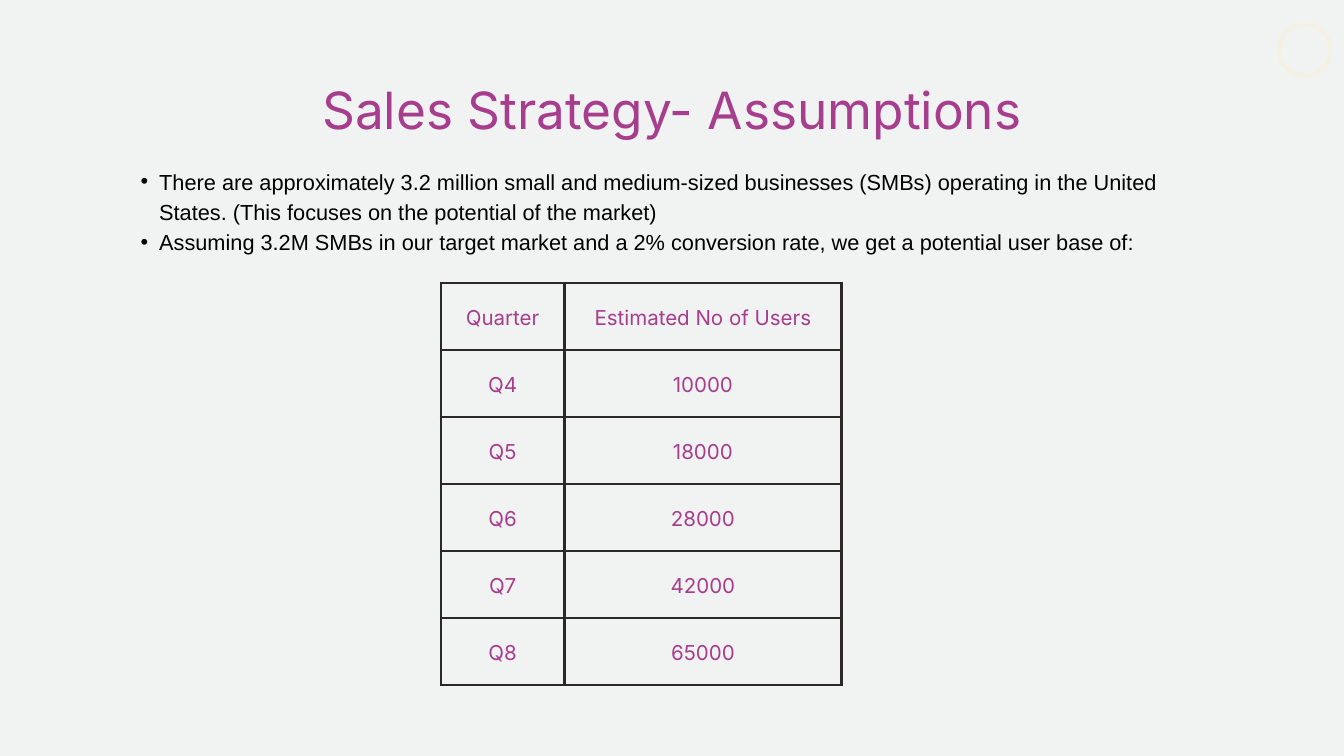
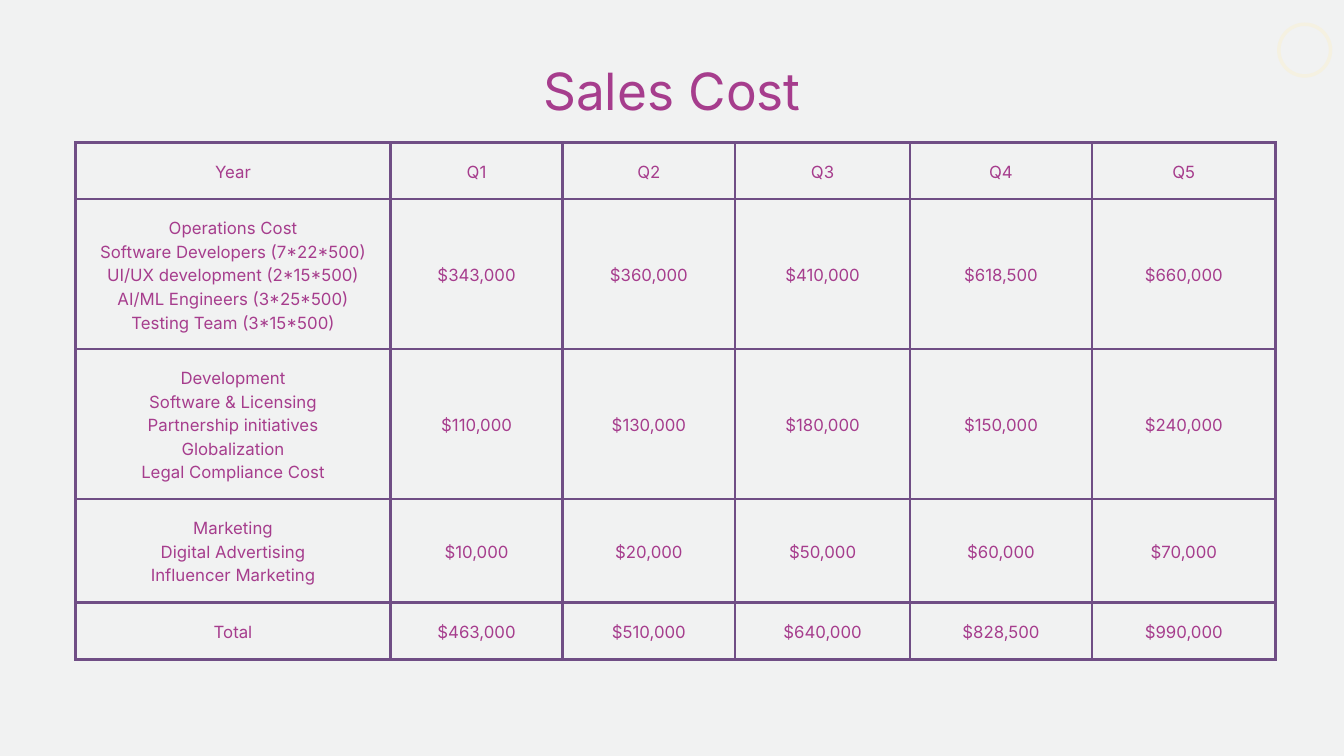
import lxml.etree
import pptx
import pptx.dml.color
import pptx.enum.shapes
import pptx.enum.text
import pptx.oxml.ns
import pptx.util

Pt = pptx.util.Pt


def rgb(value):
    return pptx.dml.color.RGBColor.from_string(value)


def add_element(parent, tag, **attributes):
    return lxml.etree.SubElement(parent, pptx.oxml.ns.qn(tag), attributes)


class Deck:
    """Holds the shared style and the current slide, and draws each kind of element."""

    BACKGROUND = "F1F2F2"
    RING = "F5F1E1"
    PURPLE = "A63D8D"
    BLACK = "000000"
    HEADING_FONT = "Inter"
    BODY_FONT = "Arial"
    LEADING = 1.4

    def __init__(self):
        self.presentation = pptx.Presentation()
        self.presentation.slide_width = Pt(1440)
        self.presentation.slide_height = Pt(810)
        self.slide = None

    def start_slide(self, title, title_top):
        self.slide = self.presentation.slides.add_slide(self.presentation.slide_layouts[6])
        fill = self.slide.background.fill
        fill.solid()
        fill.fore_color.rgb = rgb(self.BACKGROUND)
        self.add_ring()
        self.add_title(title, title_top)

    def add_ring(self):
        oval = pptx.enum.shapes.MSO_SHAPE.OVAL
        ring = self.slide.shapes.add_shape(oval, Pt(1370.2), Pt(26), Pt(55.4), Pt(55.4))
        ring.shadow.inherit = False
        ring.fill.background()
        ring.line.color.rgb = rgb(self.RING)
        ring.line.width = Pt(3.75)

    def add_text_box(self, text, left, top, width, height):
        box = self.slide.shapes.add_textbox(Pt(left), Pt(top), Pt(width), Pt(height))
        frame = box.text_frame
        frame.margin_left = frame.margin_right = frame.margin_top = frame.margin_bottom = 0
        frame.word_wrap = True
        frame.auto_size = pptx.enum.text.MSO_AUTO_SIZE.SHAPE_TO_FIT_TEXT
        frame.text = text
        return frame

    def style_paragraph(self, paragraph, size, font_name, color):
        paragraph.line_spacing = Pt(round(size * self.LEADING, 1))
        paragraph.font.size = Pt(size)
        paragraph.font.name = font_name
        paragraph.font.color.rgb = rgb(color)

    def style_heading(self, frame, size):
        for paragraph in frame.paragraphs:
            paragraph.alignment = pptx.enum.text.PP_ALIGN.CENTER
            self.style_paragraph(paragraph, size, self.HEADING_FONT, self.PURPLE)

    def add_title(self, text, top):
        self.style_heading(self.add_text_box(text, 115.6, top, 1208.8, 72.7), 55)

    def add_bullets(self, items, left, top, width, height):
        frame = self.add_text_box("\n".join(items), left, top, width, height)
        for paragraph in frame.paragraphs:
            paragraph.level = 1
            paragraph.line_spacing = Pt(32.7)
            properties = paragraph._p.get_or_add_pPr()
            properties.set("marL", str(Pt(39.6)))
            properties.set("indent", str(-Pt(20)))
            add_element(properties, "a:buFont", typeface=self.BODY_FONT)
            add_element(properties, "a:buChar", char="•")
            self.style_paragraph(paragraph, 23.3, self.BODY_FONT, self.BLACK)

    def add_borders(self, cell, color, width):
        properties = cell._tc.get_or_add_tcPr()
        for side in ("a:lnL", "a:lnR", "a:lnT", "a:lnB"):
            line = add_element(properties, side, w=str(Pt(width)))
            add_element(add_element(line, "a:solidFill"), "a:srgbClr", val=color)

    def add_table(self, rows, left, top, column_widths, row_heights, size, margin,
                  border_color, border_width):
        table = self.slide.shapes.add_table(
            len(rows), len(column_widths), Pt(left), Pt(top),
            Pt(sum(column_widths)), Pt(sum(row_heights))).table
        table.first_row = table.horz_banding = False
        for column, width in zip(table.columns, column_widths):
            column.width = Pt(width)
        for row, height, texts in zip(table.rows, row_heights, rows):
            row.height = Pt(height)
            for cell, text in zip(row.cells, texts):
                cell.text = text
                cell.vertical_anchor = pptx.enum.text.MSO_ANCHOR.MIDDLE
                cell.margin_left = cell.margin_right = Pt(margin)
                cell.margin_top = cell.margin_bottom = Pt(margin)
                self.add_borders(cell, border_color, border_width)
                cell.fill.background()
                self.style_heading(cell.text_frame, size)


ASSUMPTIONS = [
    "There are approximately 3.2 million small and medium-sized businesses (SMBs) operating "
    "in the United States. (This focuses on the potential of the market)",
    "Assuming 3.2M SMBs in our target market and a 2% conversion rate, "
    "we get a potential user base of:",
]

ESTIMATED_USERS = [
    ("Quarter", "Estimated No of Users"),
    ("Q4", "10000"),
    ("Q5", "18000"),
    ("Q6", "28000"),
    ("Q7", "42000"),
    ("Q8", "65000"),
]

OPERATIONS = "\n".join([
    "Operations Cost",
    "Software Developers (7*22*500)",
    "UI/UX development (2*15*500)",
    "AI/ML Engineers (3*25*500)",
    "Testing Team (3*15*500)",
])
DEVELOPMENT = "\n".join([
    "Development",
    "Software & Licensing",
    "Partnership initiatives",
    "Globalization",
    "Legal Compliance Cost",
])
MARKETING = "\n".join(["Marketing", "Digital Advertising", "Influencer Marketing"])

SALES_COSTS = [
    ("Year", "Q1", "Q2", "Q3", "Q4", "Q5"),
    (OPERATIONS, "$343,000", "$360,000", "$410,000", "$618,500", "$660,000"),
    (DEVELOPMENT, "$110,000", "$130,000", "$180,000", "$150,000", "$240,000"),
    (MARKETING, "$10,000", "$20,000", "$50,000", "$60,000", "$70,000"),
    ("Total", "$463,000", "$510,000", "$640,000", "$828,500", "$990,000"),
]


def main():
    deck = Deck()

    deck.start_slide("Sales Strategy- Assumptions", 72.7)
    deck.add_bullets(ASSUMPTIONS, 131, 175.7, 1178, 95)
    deck.add_table(ESTIMATED_USERS, 472.3, 303.1, [132.5, 296.6], [71.8] * 6,
                   size=22, margin=15, border_color="2D2828", border_width=3)

    deck.start_slide("Sales Cost", 52.6)
    deck.add_table(SALES_COSTS, 80.8, 152.6, [337.7, 184.3, 185, 187.2, 195.1, 196.6],
                   [61, 160.5, 160.5, 111, 61],
                   size=18, margin=13.5, border_color="704E85", border_width=2.75)

    deck.presentation.save("out.pptx")


if __name__ == "__main__":
    main()
